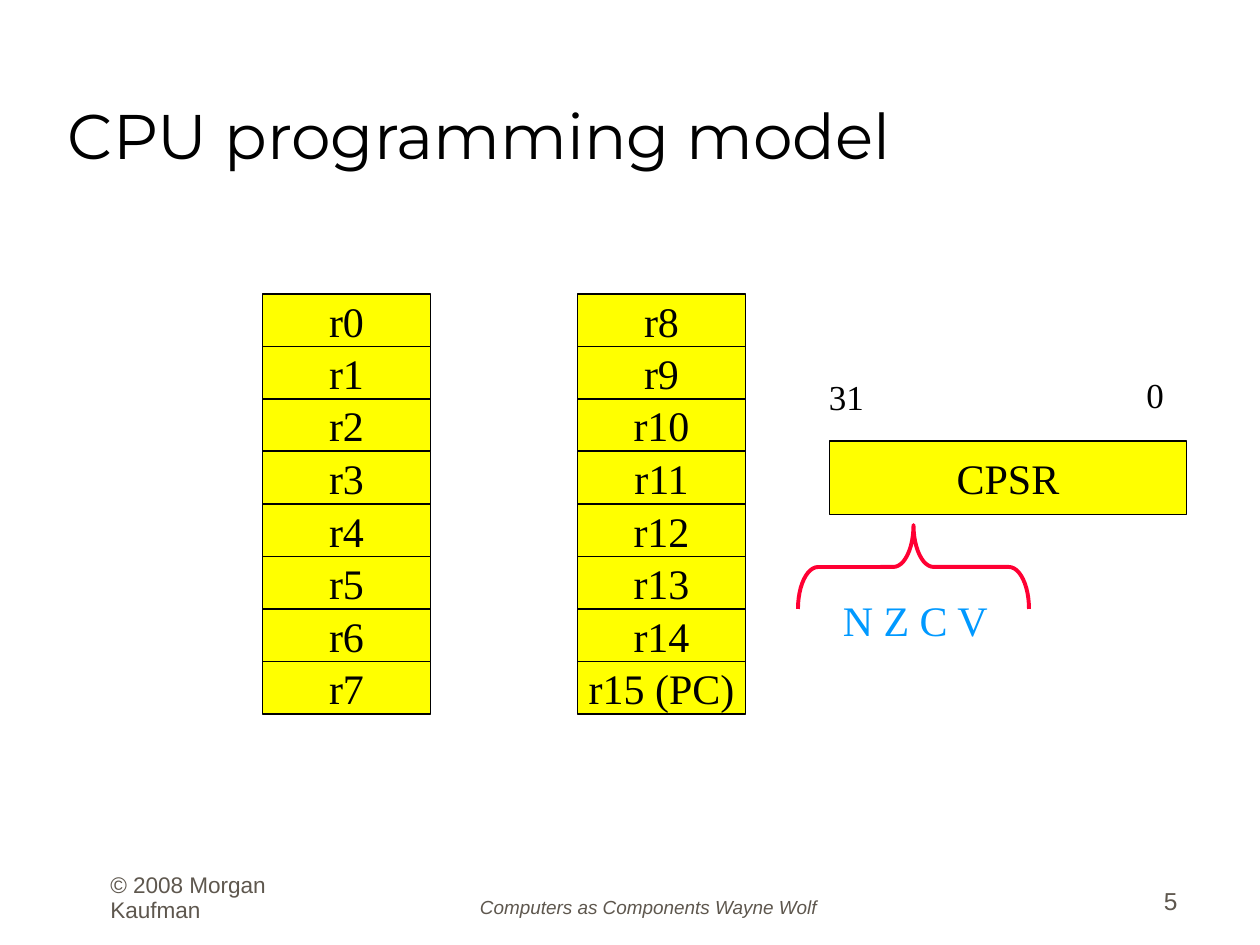
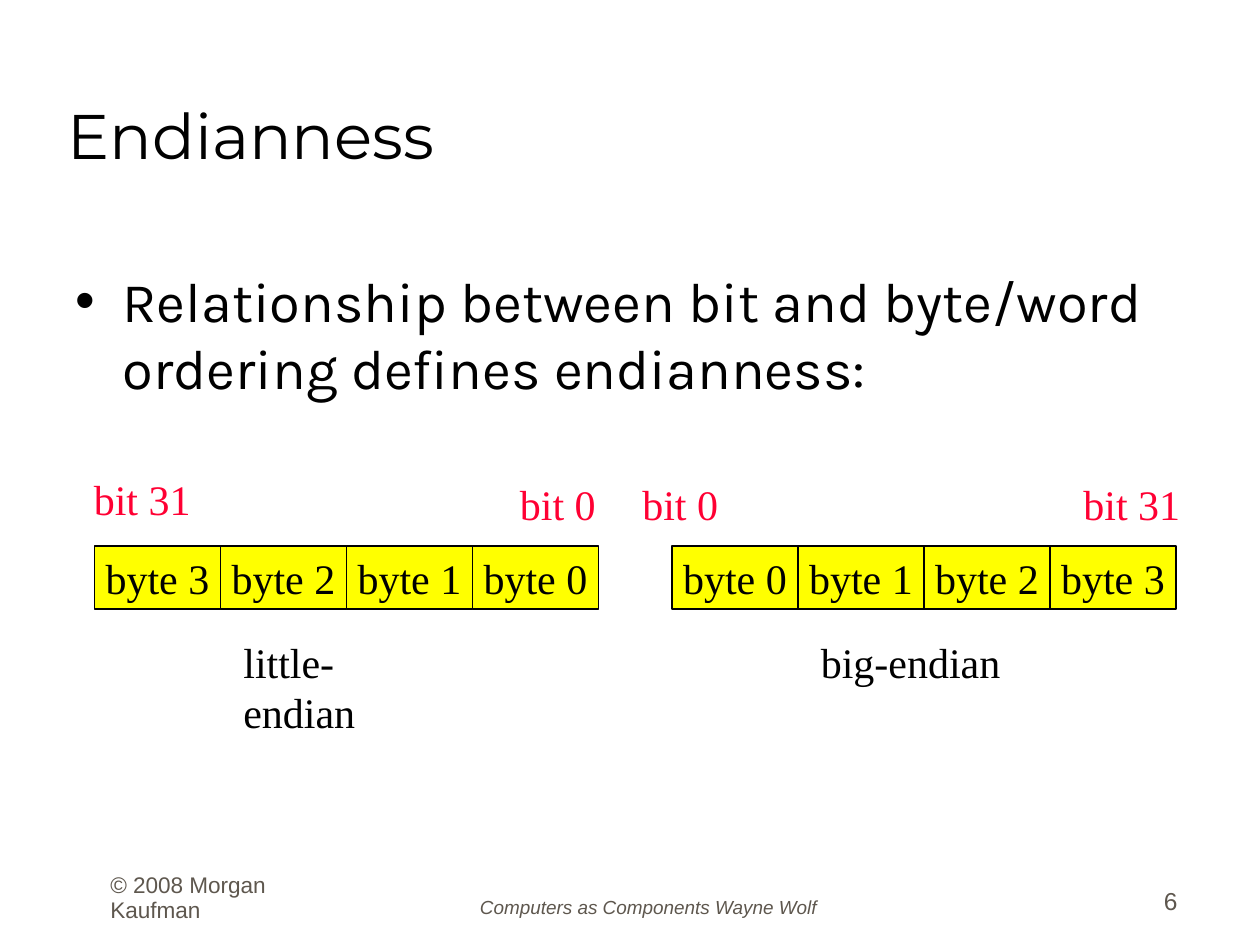
from lxml.etree import SubElement
from pptx import Presentation
from pptx.dml.color import RGBColor
from pptx.enum.shapes import MSO_SHAPE
from pptx.enum.text import MSO_ANCHOR, MSO_AUTO_SIZE, PP_ALIGN
from pptx.oxml.ns import qn
from pptx.util import Pt

BLACK, YELLOW, RED, BLUE, GREY = "000000", "FFFF00", "FF0033", "0099FF", "5E574E"
TITLE_FONT, BODY_FONT, DIAGRAM_FONT, FOOTER_FONT = (
    "Montserrat", "Karla", "Times New Roman", "Arial")


def color(hex_value):
    return RGBColor.from_string(hex_value)


class Deck:
    """Holds the shared style and the current slide."""

    def __init__(self):
        self.presentation = Presentation()
        self.presentation.slide_width = Pt(720)
        self.presentation.slide_height = Pt(540)
        self.slide = None

    def style_text(self, shape, text, size, font=DIAGRAM_FONT, ink=BLACK,
                   align=PP_ALIGN.LEFT, anchor=MSO_ANCHOR.TOP, wrap=True):
        frame = shape.text_frame
        frame.text = text
        frame.word_wrap = wrap
        frame.vertical_anchor = anchor
        paragraph = frame.paragraphs[0]
        paragraph.alignment = align
        run_font = paragraph.runs[0].font
        run_font.name = font
        run_font.size = Pt(size)
        run_font.color.rgb = color(ink)
        return paragraph

    def place(self, shape, left, top, width, height):
        shape.left, shape.top = Pt(left), Pt(top)
        shape.width, shape.height = Pt(width), Pt(height)

    def new_slide(self, title, number):
        layout = self.presentation.slide_layouts.get_by_name("Title Only")
        self.slide = self.presentation.slides.add_slide(layout)
        heading = self.slide.shapes.title
        self.place(heading, 31.5, 18, 652.5, 84)
        self.style_text(heading, title, 36, TITLE_FONT, anchor=MSO_ANCHOR.BOTTOM)
        self.footers(number)

    def text(self, text, left, top, width, height, size, **style):
        box = self.slide.shapes.add_textbox(Pt(left), Pt(top), Pt(width), Pt(height))
        return self.style_text(box, text, size, **style), box

    def footers(self, number):
        style = dict(font=FOOTER_FONT, ink=GREY, anchor=MSO_ANCHOR.BOTTOM)
        self.text(str(number), 530, 490.5, 150, 36, 14, align=PP_ALIGN.RIGHT, **style)
        notice, _ = self.text("© 2008 Morgan Kaufman", 56, 490.5, 152, 40.5, 12.9, **style)
        notice.line_spacing = 0.9
        book, _ = self.text("Computers as Components Wayne Wolf", 256.5, 492.5, 228, 36,
                            10.8, align=PP_ALIGN.CENTER, **style)
        book.line_spacing = 0.8
        book.runs[0].font.italic = True

    def label(self, text, left, top, width, height=36, size=24, ink=BLACK):
        _, box = self.text(text, left, top, width, height, size, ink=ink, wrap=False)
        box.text_frame.auto_size = MSO_AUTO_SIZE.SHAPE_TO_FIT_TEXT

    def bullet(self, text, left, top, width, height):
        paragraph, _ = self.text(text, left, top, width, height, 32, font=BODY_FONT)
        properties = paragraph._p.get_or_add_pPr()
        properties.set("marL", str(Pt(27)))
        properties.set("indent", str(Pt(-27)))
        SubElement(properties, qn("a:buFont"), typeface=FOOTER_FONT)
        SubElement(properties, qn("a:buChar"), char="•")

    def cell(self, text, left, top, width, height):
        box = self.slide.shapes.add_shape(
            MSO_SHAPE.RECTANGLE, Pt(left), Pt(top), Pt(width), Pt(height))
        box.shadow.inherit = False
        box.fill.solid()
        box.fill.fore_color.rgb = color(YELLOW)
        box.line.color.rgb = color(BLACK)
        box.line.width = Pt(1)
        self.style_text(box, text, 24, align=PP_ALIGN.CENTER,
                        anchor=MSO_ANCHOR.MIDDLE, wrap=False)

    def brace_up(self, left, top, width, height):
        # A left brace turned a quarter around its centre
        brace = self.slide.shapes.add_shape(
            MSO_SHAPE.LEFT_BRACE, Pt(left + (width - height) / 2),
            Pt(top + (height - width) / 2), Pt(height), Pt(width))
        brace.rotation = 90
        brace.adjustments[0] = 0.24
        brace.shadow.inherit = False
        brace.fill.background()
        brace.line.color.rgb = color(RED)
        brace.line.width = Pt(2.25)


def programming_model(deck):
    deck.new_slide("CPU programming model", 5)

    # Two columns of eight registers
    for register in range(16):
        column, row = divmod(register, 8)
        name = "r15 (PC)" if register == 15 else f"r{register}"
        deck.cell(name, 150 + 180 * column, 168 + 30 * row, 96, 30)

    # Status register with its flags
    deck.cell("CPSR", 474, 252, 204, 42)
    deck.label("31", 466.5, 211, 34.5, 31.5, 20)
    deck.label("0", 648, 210, 24.5, 31.5, 20)
    deck.brace_up(456, 300, 132, 48)
    deck.label("N Z C V", 474.5, 336, 98, ink=BLUE)


def endianness(deck):
    deck.new_slide("Endianness", 6)
    deck.bullet("Relationship between bit and byte/word ordering defines endianness:",
                36, 148.5, 643.5, 91.5)

    # One row of bytes for each order
    for left, order in ((54, (3, 2, 1, 0)), (384, (0, 1, 2, 3))):
        for position, byte in enumerate(order):
            deck.cell(f"byte {byte}", left + 72 * position, 312, 72, 36)

    # Bit numbers and captions
    for text, left, top, width in (("bit 31", 46.5, 267, 70), ("bit 0", 290, 270, 57.5),
                                   ("bit 0", 360, 270, 57.5), ("bit 31", 612, 270, 70)):
        deck.label(text, left, top, width, ink=RED)
    deck.label("little-endian", 132, 360, 130)
    deck.label("big-endian", 462, 360, 117)


def main():
    deck = Deck()
    programming_model(deck)
    endianness(deck)
    deck.presentation.save("out.pptx")


if __name__ == "__main__":
    main()
